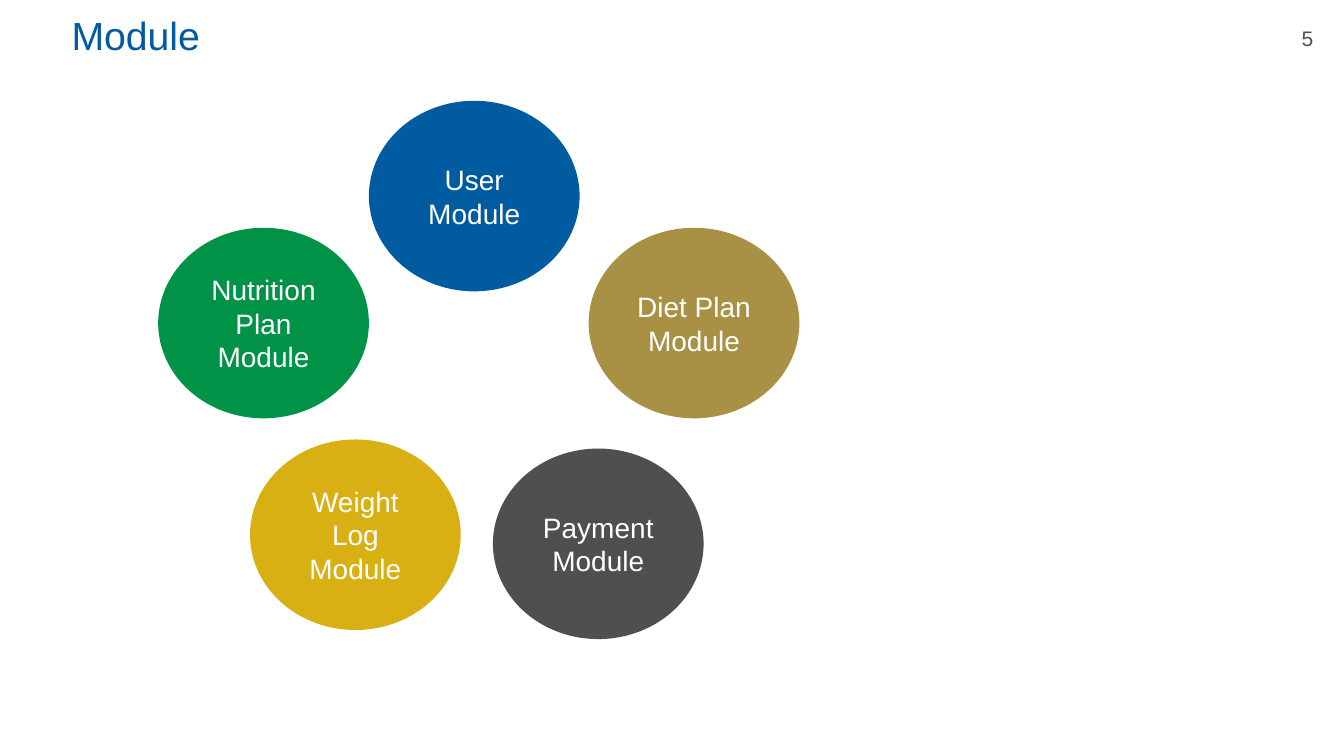
from pptx import Presentation
from pptx.dml.color import RGBColor
from pptx.enum.shapes import MSO_SHAPE
from pptx.enum.text import MSO_ANCHOR, PP_ALIGN
from pptx.util import Pt

BLUE = "005BA1"
GREEN = "009247"
BRONZE = "A89044"
GOLD = "D8B013"
GRAY = "4F4F4F"
WHITE = "FFFFFF"

MODULE_WIDTH, MODULE_HEIGHT = 150.5, 136.1
MODULES = [
    ("User Module", 263.5, 72, BLUE),
    ("Nutrition Plan Module", 113, 162.7, GREEN),
    ("Diet Plan Module", 420.5, 162.7, BRONZE),
    ("Weight Log Module", 178.6, 313.9, GOLD),
    ("Payment Module", 352.1, 320.4, GRAY),
]


def color(hex_string):
    return RGBColor.from_string(hex_string)


def write_text(shape, text, *, size, fill, align=PP_ALIGN.CENTER, anchor=MSO_ANCHOR.MIDDLE):
    frame = shape.text_frame
    frame.word_wrap = True
    frame.vertical_anchor = anchor
    frame.margin_left = frame.margin_right = Pt(7.2)
    frame.margin_top = frame.margin_bottom = Pt(3.6)
    paragraph = frame.paragraphs[0]
    paragraph.alignment = align
    run = paragraph.add_run()
    run.text = text
    run.font.name = "Arial"
    run.font.size = Pt(size)
    run.font.color.rgb = color(fill)


def format_title(slide, text):
    title = slide.shapes.title
    title.left, title.top, title.width, title.height = Pt(43.9), Pt(0.7), Pt(784), Pt(49)
    write_text(title, text, size=28, fill=BLUE, align=PP_ALIGN.LEFT)


def add_page_number(slide, number):
    box = slide.shapes.add_textbox(Pt(908), Pt(14.4), Pt(52), Pt(25.2))
    write_text(box, str(number), size=15, fill=GRAY, anchor=MSO_ANCHOR.TOP)


def add_module(slide, name, left, top, fill):
    shape = slide.shapes.add_shape(
        MSO_SHAPE.OVAL, Pt(left), Pt(top), Pt(MODULE_WIDTH), Pt(MODULE_HEIGHT)
    )
    shape.shadow.inherit = False
    shape.fill.solid()
    shape.fill.fore_color.rgb = color(fill)
    shape.line.fill.background()
    write_text(shape, name, size=20, fill=WHITE)


def main():
    presentation = Presentation()
    presentation.slide_width = Pt(960)
    presentation.slide_height = Pt(540)
    slide = presentation.slides.add_slide(presentation.slide_layouts[5])
    format_title(slide, "Module")
    add_page_number(slide, 5)
    for name, left, top, fill in MODULES:
        add_module(slide, name, left, top, fill)
    presentation.save("out.pptx")


if __name__ == "__main__":
    main()
